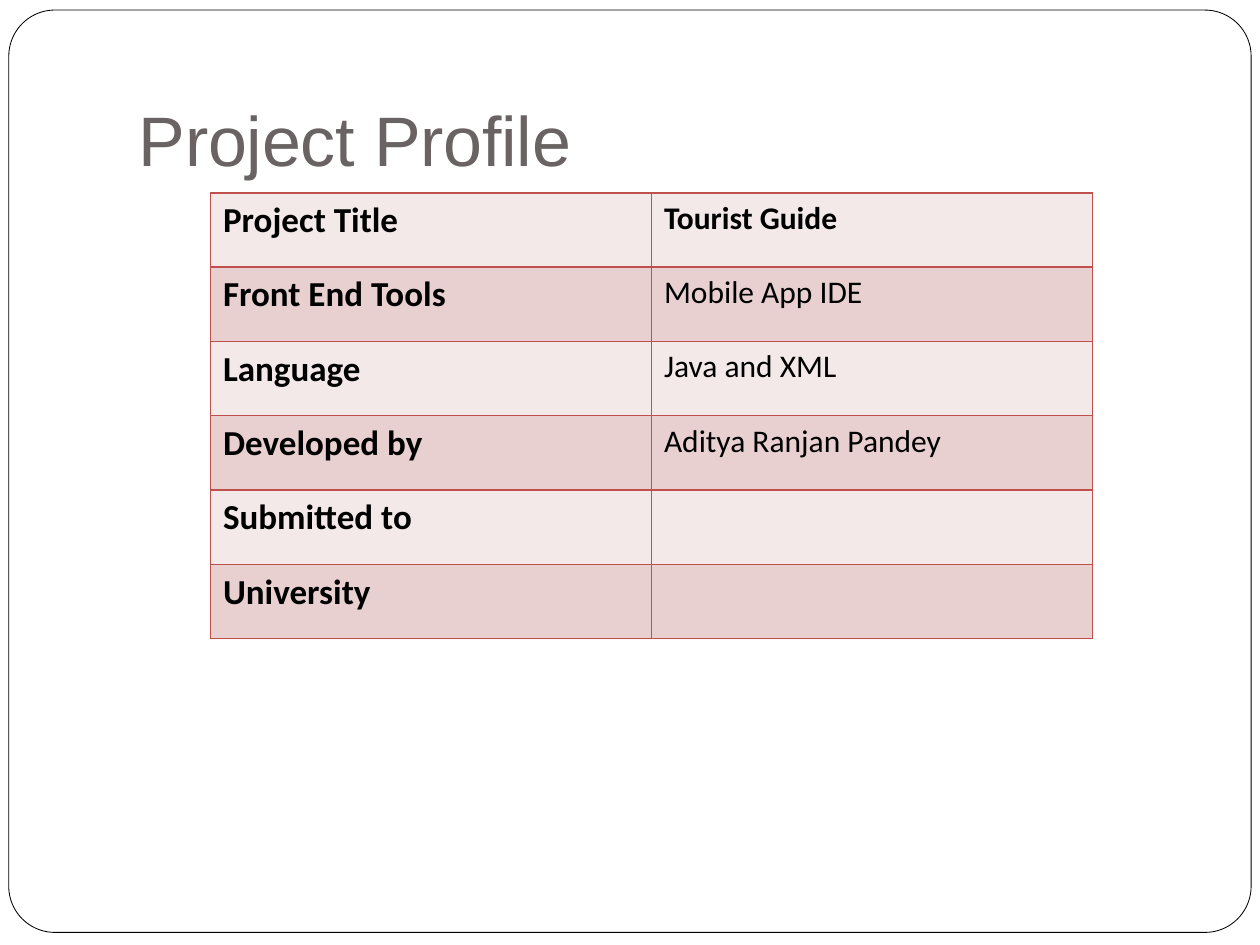
from lxml import etree
from pptx import Presentation
from pptx.dml.color import RGBColor
from pptx.enum import shapes, text
from pptx.oxml.ns import qn
from pptx.util import Inches, Pt

TITLE = "Project Profile"
PROFILE = [
    ("Project Title", "Tourist Guide"),
    ("Front End Tools", "Mobile App IDE"),
    ("Language", "Java and XML"),
    ("Developed by", "Aditya Ranjan Pandey"),
    ("Submitted to", ""),
    ("University", ""),
]
COLORS = {
    "frame": "000000",
    "title": "696363",
    "text": "000000",
    "border": "C0504D",
    "light": "F4E9E9",
    "dark": "E8D0D0",
}
COLUMN_WIDTH, ROW_HEIGHT = 3.5, 0.59


def color(name):
    return RGBColor.from_string(COLORS[name])


def add_span(para, words, font, size, shade, bold=False):
    span = para.add_run()
    span.text = words
    span.font.name = font
    span.font.size = Pt(size)
    span.font.bold = bold
    span.font.color.rgb = color(shade)
    return span


def add_borders(cell):
    properties = cell._tc.get_or_add_tcPr()
    for position, side in enumerate(("lnL", "lnR", "lnT", "lnB")):
        line = etree.Element(qn(f"a:{side}"), w=str(Pt(1)))
        fill = etree.SubElement(line, qn("a:solidFill"))
        etree.SubElement(fill, qn("a:srgbClr"), val=COLORS["border"])
        properties.insert(position, line)


deck = Presentation()
deck.slide_width, deck.slide_height = Inches(10), Inches(7.5)
page = deck.slides.add_slide(deck.slide_layouts[5])

# Rounded page frame, placed behind the title
frame = page.shapes.add_shape(
    shapes.MSO_SHAPE.ROUNDED_RECTANGLE,
    Inches(0.07), Inches(0.08), Inches(9.86), Inches(7.32))
frame.adjustments[0] = 0.05
frame.shadow.inherit = False
frame.fill.background()
frame.line.color.rgb = color("frame")
frame.line.width = Pt(0.48)
title = page.shapes.title
title._element.addprevious(frame._element)

# Title
title.left, title.top = Inches(1.1), Inches(0.76)
title.width, title.height = Inches(3.48), Inches(0.69)
box = title.text_frame
box.margin_left = box.margin_right = box.margin_bottom = 0
box.margin_top = Inches(0.01)
box.vertical_anchor = text.MSO_ANCHOR.TOP
box.auto_size = text.MSO_AUTO_SIZE.NONE
box.word_wrap = False
para = box.paragraphs[0]
para.alignment = text.PP_ALIGN.LEFT
span = add_span(para, TITLE, "Arial", 40, "title")
span.font._element.set("spc", "-10")

# Profile table: bold labels on the left, values on the right
table = page.shapes.add_table(
    len(PROFILE), 2, Inches(1.67), Inches(1.53),
    Inches(2 * COLUMN_WIDTH), Inches(len(PROFILE) * ROW_HEIGHT)).table
for column in table.columns:
    column.width = Inches(COLUMN_WIDTH)
for row, entry in enumerate(PROFILE):
    table.rows[row].height = Inches(ROW_HEIGHT)
    for column, words in enumerate(entry):
        cell = table.cell(row, column)
        cell.fill.solid()
        cell.fill.fore_color.rgb = color("dark" if row % 2 else "light")
        add_borders(cell)
        if words:
            add_span(cell.text_frame.paragraphs[0], words, "Calibri",
                     18 if column else 20, "text", bold=column == 0 or row == 0)

deck.save("out.pptx")
